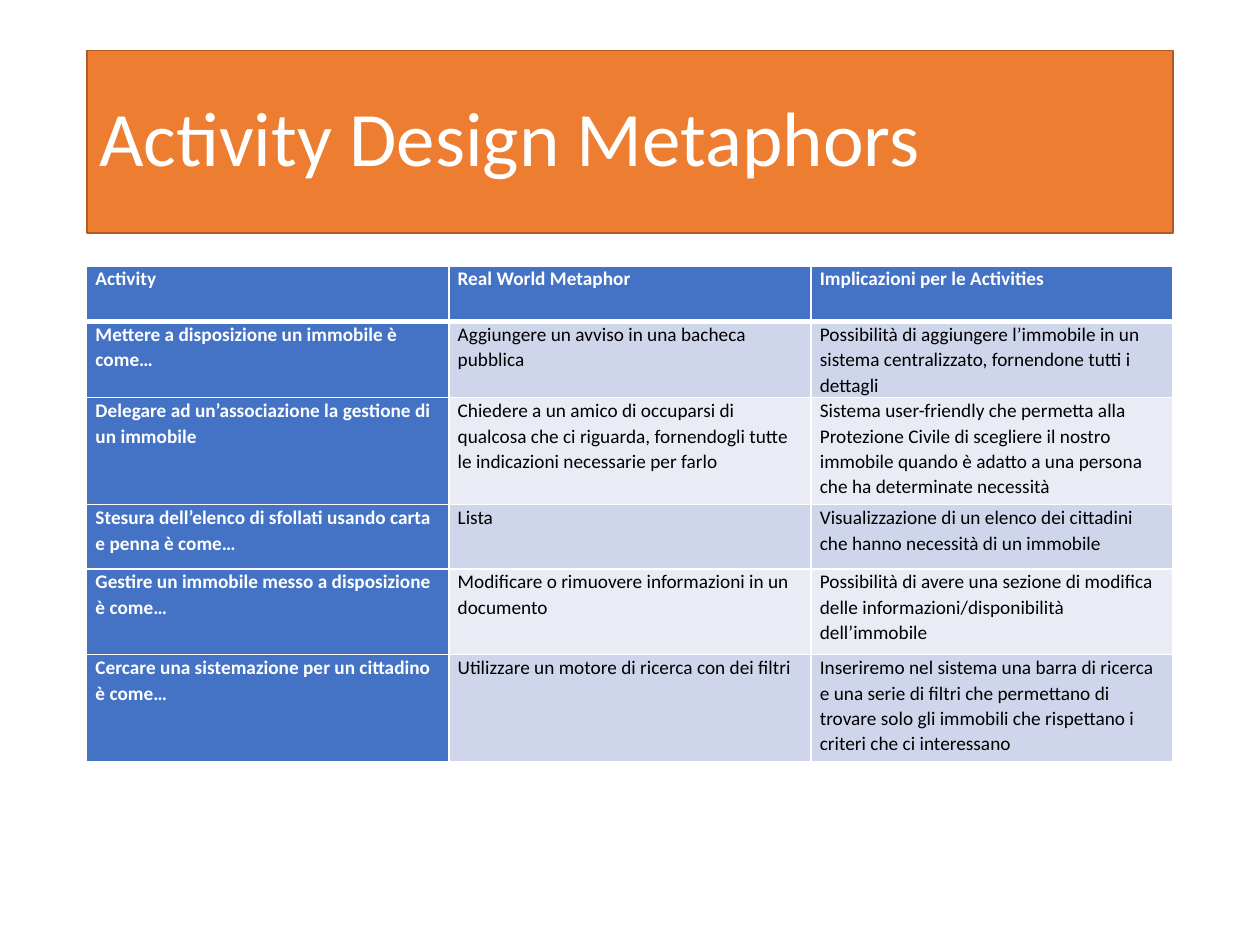
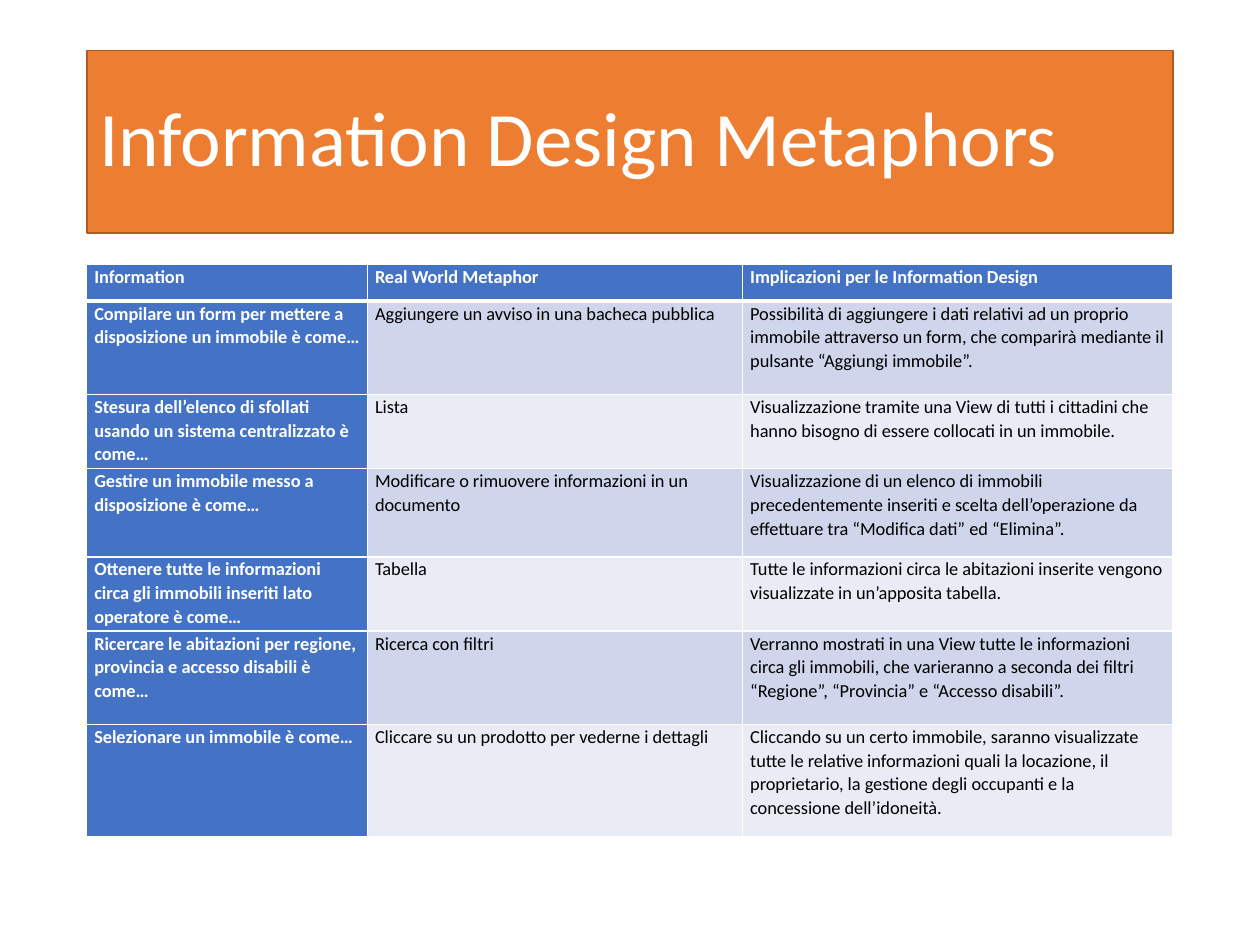
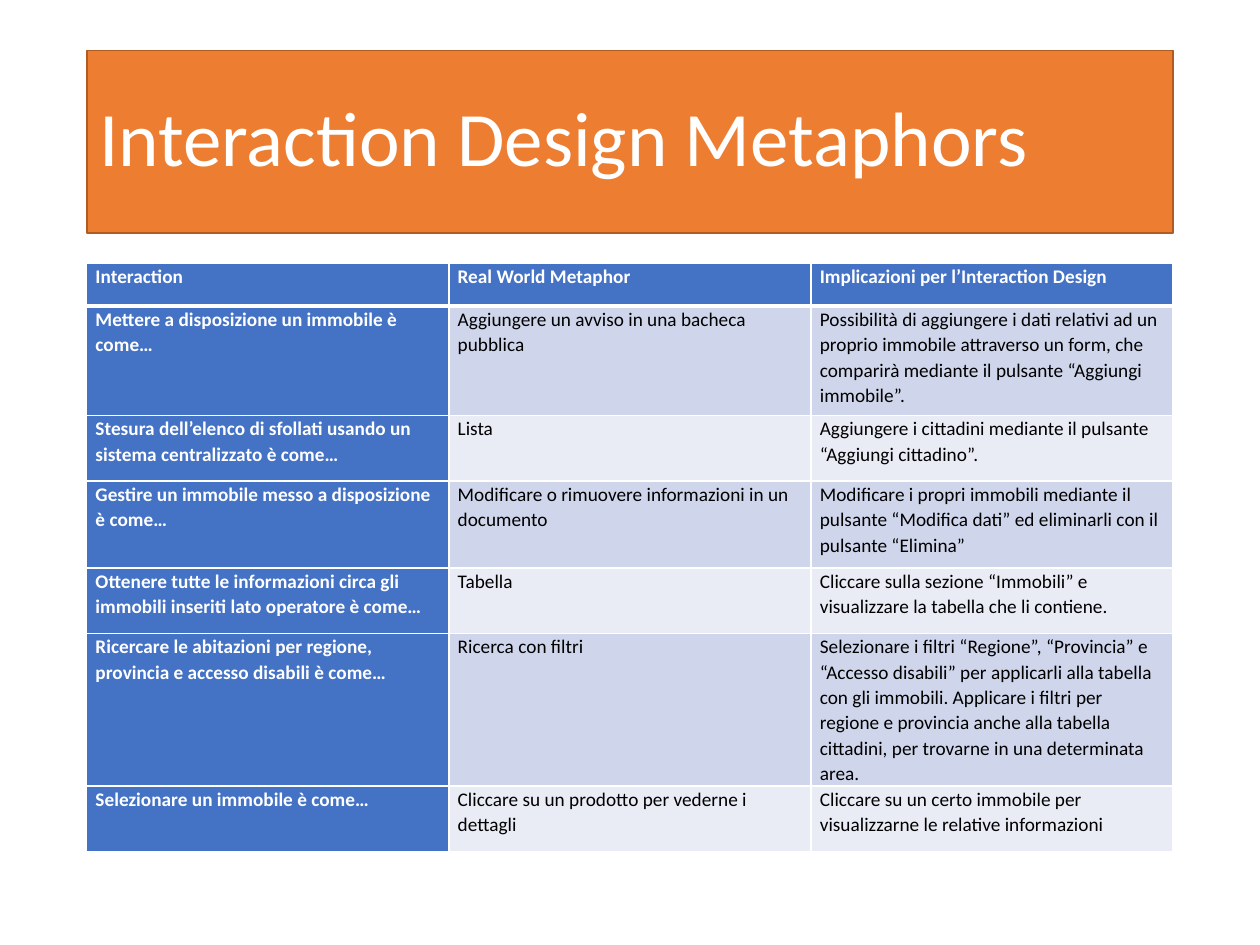
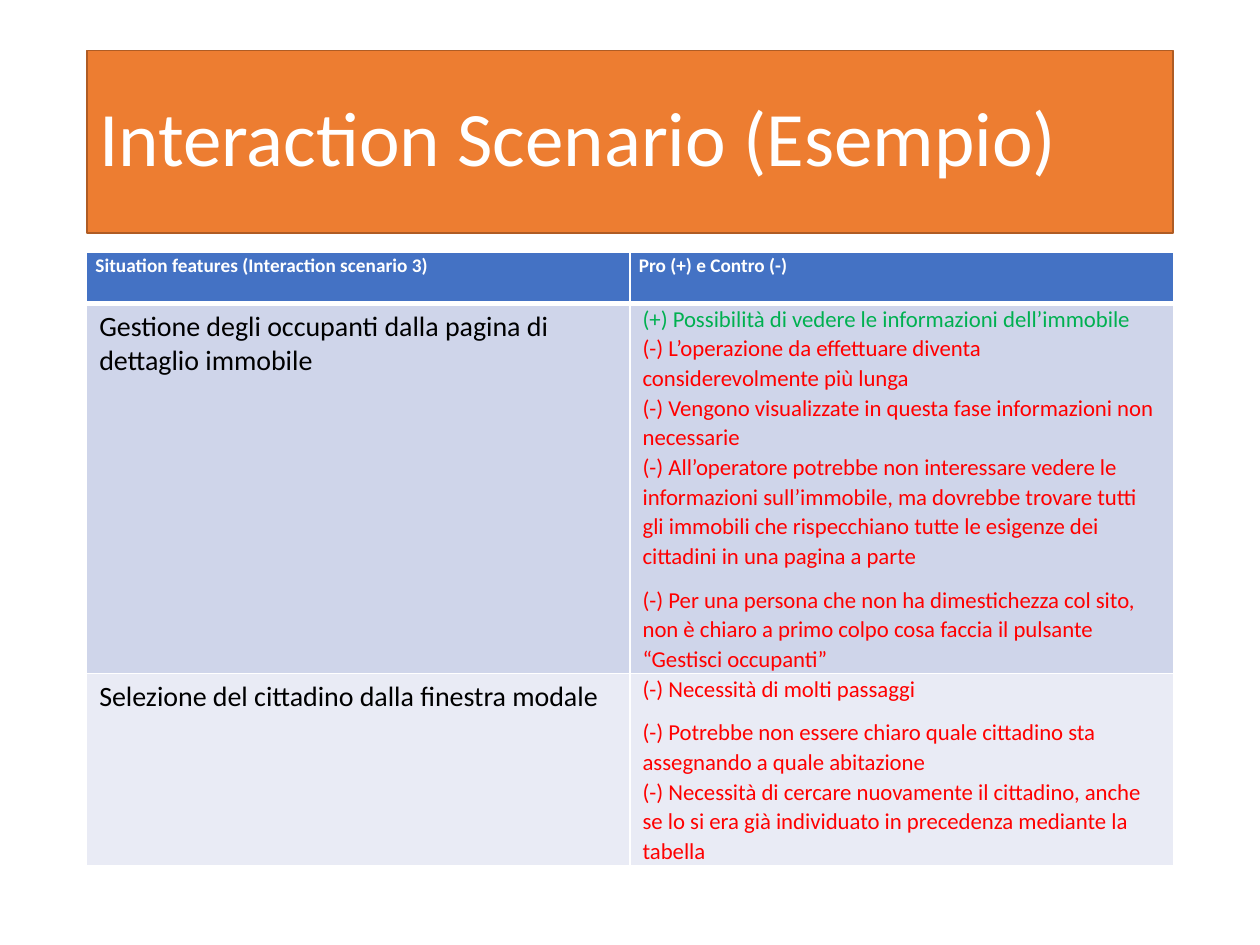
import dataclasses
import typing

import lxml.etree
import pptx
import pptx.dml.color
import pptx.enum.dml
import pptx.enum.text
import pptx.oxml.ns
import pptx.util

COLORS = {
    "title": "ED7D31",
    "title_line": "AF5C24",
    "header": "4472C4",
    "band_odd": "CFD5EA",
    "band_even": "E9EBF5",
    "white": "FFFFFF",
    "text": "000000",
    "pro": "00B050",
    "con": "FF0000",
}
FONT = "Calibri"
GRID_COLS, GRID_ROWS = 100, 75
SLIDE_W, SLIDE_H = pptx.util.Inches(10), pptx.util.Inches(7.5)
LEFT, WIDTH = 6.88, 86.24
TITLE_TOP, TITLE_HEIGHT = 4, 14.5

Lines = tuple[str, ...]
Text = typing.Union[str, tuple[Lines, ...]]


@dataclasses.dataclass(frozen=True)
class CellStyle:
    size: float
    color: str = "text"
    bold: bool = False
    inset_x: float = 0.7
    inset_y: float = 0
    line_spacing: float = 1.07
    space_after: float = 0


@dataclasses.dataclass(frozen=True)
class TableSlide:
    title: str
    top: float
    columns: tuple[float, ...]
    rows: tuple[float, ...]
    header_style: CellStyle
    body_styles: tuple[CellStyle, ...]
    texts: tuple[tuple[Text, ...], ...]
    label_column: bool = True


def col(n: float) -> pptx.util.Emu:
    return pptx.util.Emu(round(SLIDE_W * n / GRID_COLS))


def row(n: float) -> pptx.util.Emu:
    return pptx.util.Emu(round(SLIDE_H * n / GRID_ROWS))


def rgb(name: str) -> pptx.dml.color.RGBColor:
    return pptx.dml.color.RGBColor.from_string(COLORS[name])


def set_all(target: typing.Any, values: dict[str, typing.Any]) -> None:
    for name, value in values.items():
        setattr(target, name, value)


def add_run(p: typing.Any, text: str, size: float, color: str, bold: bool = False) -> None:
    r = p.add_run()
    r.text = text
    set_all(r.font, {"name": FONT, "size": pptx.util.Pt(size), "bold": bold})
    r.font.color.rgb = rgb(color)


def add_title(s: typing.Any, text: str) -> None:
    sp = s.shapes.title
    set_all(sp, {
        "left": col(LEFT), "top": row(TITLE_TOP),
        "width": col(WIDTH), "height": row(TITLE_HEIGHT),
    })
    sp.shadow.inherit = False
    sp.fill.solid()
    sp.fill.fore_color.rgb = rgb("title")
    sp.line.color.rgb = rgb("title_line")
    sp.line.width = pptx.util.Pt(1)
    tf = sp.text_frame
    set_all(tf, {
        "word_wrap": True,
        "auto_size": pptx.enum.text.MSO_AUTO_SIZE.NONE,
        "vertical_anchor": pptx.enum.text.MSO_ANCHOR.MIDDLE,
    })
    p = tf.paragraphs[0]
    set_all(p, {"alignment": pptx.enum.text.PP_ALIGN.LEFT, "line_spacing": 0.9})
    add_run(p, text, 44, "white")


def add_borders(cell: typing.Any, widths: dict[str, float]) -> None:
    qn = pptx.oxml.ns.qn
    tc_pr = cell._tc.get_or_add_tcPr()
    for side, width in widths.items():
        line = lxml.etree.SubElement(tc_pr, qn(f"a:ln{side}"), w=str(pptx.util.Pt(width)))
        fill = lxml.etree.SubElement(line, qn("a:solidFill"))
        lxml.etree.SubElement(fill, qn("a:srgbClr"), val=COLORS["white"])


def line_color(text: str, style: CellStyle) -> str:
    return {"(+)": "pro", "(-)": "con"}.get(text[:3], style.color)


def fill_cell(cell: typing.Any, text: Text, style: CellStyle, fill: str) -> None:
    cell.fill.solid()
    cell.fill.fore_color.rgb = rgb(fill)
    set_all(cell, {
        "margin_left": col(style.inset_x), "margin_right": col(style.inset_x),
        "margin_top": row(style.inset_y), "margin_bottom": row(style.inset_y),
    })
    tf = cell.text_frame
    paragraphs = ((text,),) if isinstance(text, str) else text
    for i, lines in enumerate(paragraphs):
        p = tf.add_paragraph() if i else tf.paragraphs[0]
        set_all(p, {
            "line_spacing": style.line_spacing,
            "space_after": pptx.util.Pt(style.space_after),
        })
        for j, line in enumerate(lines):
            if j:
                p.add_line_break()
            add_run(p, line, style.size, line_color(line, style), style.bold)


def add_table(s: typing.Any, spec_: TableSlide) -> None:
    table = s.shapes.add_table(
        len(spec_.rows), len(spec_.columns),
        col(LEFT), row(spec_.top), col(WIDTH), row(sum(spec_.rows)),
    ).table
    for column, share in zip(table.columns, spec_.columns):
        column.width = col(WIDTH * share / sum(spec_.columns))
    for table_row, height in zip(table.rows, spec_.rows):
        table_row.height = row(height)
    for i, texts in enumerate(spec_.texts):
        band = "band_odd" if i % 2 else "band_even"
        for j, text in enumerate(texts):
            cell = table.cell(i, j)
            add_borders(cell, {
                "L": 1, "R": 1, "T": 3 if i == 1 else 1, "B": 3 if i == 0 else 1,
            })
            if i == 0 or (j == 0 and spec_.label_column):
                fill_cell(cell, text, spec_.header_style, "header")
            else:
                fill_cell(cell, text, spec_.body_styles[j], band)


HEADER = CellStyle(11, "white", True)
BODY = CellStyle(11)
SMALL_HEADER = CellStyle(10.5, "white", True, inset_x=0.6)
SMALL_BODY = CellStyle(10.5, inset_x=0.6)
FEATURE = CellStyle(16, inset_x=1, inset_y=0.5, line_spacing=1)
PROS_CONS = CellStyle(13, inset_x=1, space_after=8)

METAPHOR = "Real World Metaphor"
NOTICE = "Aggiungere un avviso in una bacheca pubblica"
OFFER = "Mettere a disposizione un immobile è come…"
MANAGE = "Gestire un immobile messo a disposizione è come…"
EDIT = "Modificare o rimuovere informazioni in un documento"
ADD_FORM = (
    "Possibilità di aggiungere i dati relativi ad un proprio immobile attraverso un form, "
    "che comparirà mediante il pulsante “Aggiungi immobile”."
)
LIST_CENTRAL = "Stesura dell’elenco di sfollati usando un sistema centralizzato è come…"
GET_INFO = "Ottenere tutte le informazioni circa gli immobili inseriti lato operatore è come…"
SEARCH = "Ricercare le abitazioni per regione, provincia e accesso disabili è come…"
FILTERS = "Ricerca con filtri"
SELECT = "Selezionare un immobile è come…"
CLICK = "Cliccare su un prodotto per vederne i dettagli"

SLIDES = (
    TableSlide(
        "Activity Design Metaphors", 21.1, (1, 1, 1), (4.4, 5.1, 8.5, 5.1, 6.8, 8.5),
        HEADER, (BODY,) * 3,
        (
            ("Activity", METAPHOR, "Implicazioni per le Activities"),
            (OFFER, NOTICE,
             "Possibilità di aggiungere l’immobile in un sistema centralizzato, "
             "fornendone tutti i dettagli"),
            ("Delegare ad un’associazione la gestione di un immobile",
             "Chiedere a un amico di occuparsi di qualcosa che ci riguarda, "
             "fornendogli tutte le indicazioni necessarie per farlo",
             "Sistema user-friendly che permetta alla Protezione Civile di scegliere il nostro "
             "immobile quando è adatto a una persona che ha determinate necessità"),
            ("Stesura dell’elenco di sfollati usando carta e penna è come…", "Lista",
             "Visualizzazione di un elenco dei cittadini che hanno necessità di un immobile"),
            (MANAGE, EDIT,
             "Possibilità di avere una sezione di modifica delle "
             "informazioni/disponibilità dell’immobile"),
            ("Cercare una sistemazione per un cittadino è come…",
             "Utilizzare un motore di ricerca con dei filtri",
             "Inseriremo nel sistema una barra di ricerca e una serie di filtri che permettano "
             "di trovare solo gli immobili che rispettano i criteri che ci interessano"),
        ),
    ),
    TableSlide(
        "Information Design Metaphors", 21, (2.23, 2.98, 3.42),
        (2.9, 7.4, 5.9, 7, 5.9, 7.4, 8.9),
        SMALL_HEADER, (SMALL_BODY,) * 3,
        (
            ("Information", METAPHOR, "Implicazioni per le Information Design"),
            ("Compilare un form per mettere a disposizione un immobile è come…",
             NOTICE, ADD_FORM),
            (LIST_CENTRAL, "Lista",
             "Visualizzazione tramite una View di tutti i cittadini che hanno bisogno "
             "di essere collocati in un immobile."),
            (MANAGE, EDIT,
             "Visualizzazione di un elenco di immobili precedentemente inseriti e scelta "
             "dell’operazione da effettuare tra “Modifica dati” ed “Elimina”."),
            (GET_INFO, "Tabella",
             "Tutte le informazioni circa le abitazioni inserite vengono visualizzate "
             "in un’apposita tabella."),
            (SEARCH, FILTERS,
             "Verranno mostrati in una View tutte le informazioni circa gli immobili, che "
             "varieranno a seconda dei filtri “Regione”, “Provincia” e “Accesso disabili”."),
            (SELECT, CLICK,
             "Cliccando su un certo immobile, saranno visualizzate tutte le relative "
             "informazioni quali la locazione, il proprietario, la gestione degli occupanti "
             "e la concessione dell’idoneità."),
        ),
    ),
    TableSlide(
        "Interaction Design Metaphors", 20.9, (1, 1, 1),
        (3.4, 8.7, 5.2, 6.9, 5.2, 12.1, 5.2),
        HEADER, (BODY,) * 3,
        (
            ("Interaction", METAPHOR, "Implicazioni per l’Interaction Design"),
            (OFFER, NOTICE, ADD_FORM),
            (LIST_CENTRAL, "Lista",
             "Aggiungere i cittadini mediante il pulsante “Aggiungi cittadino”."),
            (MANAGE, EDIT,
             "Modificare i propri immobili mediante il pulsante “Modifica dati” "
             "ed eliminarli con il pulsante “Elimina”"),
            (GET_INFO, "Tabella",
             "Cliccare sulla sezione “Immobili” e visualizzare la tabella che li contiene."),
            (SEARCH, FILTERS,
             "Selezionare i filtri “Regione”, “Provincia” e “Accesso disabili” per applicarli "
             "alla tabella con gli immobili. Applicare i filtri per regione e provincia anche "
             "alla tabella cittadini, per trovarne in una determinata area."),
            (SELECT, CLICK,
             "Cliccare su un certo immobile per visualizzarne le relative informazioni"),
        ),
    ),
    TableSlide(
        "Interaction Scenario (Esempio)", 20, (1, 1), (4.1, 29.2, 14.5),
        HEADER, (FEATURE, PROS_CONS),
        (
            ("Situation features (Interaction scenario 3)", "Pro (+) e Contro (-)"),
            ("Gestione degli occupanti dalla pagina di dettaglio immobile",
             (
                 ("(+) Possibilità di vedere le informazioni dell’immobile",
                  "(-) L’operazione da effettuare diventa considerevolmente più lunga",
                  "(-) Vengono visualizzate in questa fase informazioni non necessarie",
                  "(-) All’operatore potrebbe non interessare vedere le informazioni "
                  "sull’immobile, ma dovrebbe trovare tutti gli immobili che rispecchiano "
                  "tutte le esigenze dei cittadini in una pagina a parte"),
                 ("(-) Per una persona che non ha dimestichezza col sito, non è chiaro a primo "
                  "colpo cosa faccia il pulsante “Gestisci occupanti”",),
             )),
            ("Selezione del cittadino dalla finestra modale",
             (
                 ("(-) Necessità di molti passaggi",),
                 ("(-) Potrebbe non essere chiaro quale cittadino sta assegnando "
                  "a quale abitazione",
                  "(-) Necessità di cercare nuovamente il cittadino, anche se lo si era già "
                  "individuato in precedenza mediante la tabella"),
             )),
        ),
        label_column=False,
    ),
)


def main() -> None:
    prs = pptx.Presentation()
    set_all(prs, {"slide_width": SLIDE_W, "slide_height": SLIDE_H})
    for table_slide in SLIDES:
        s = prs.slides.add_slide(prs.slide_layouts.get_by_name("Title Only"))
        add_title(s, table_slide.title)
        add_table(s, table_slide)
    prs.save("out.pptx")


if __name__ == "__main__":
    main()
